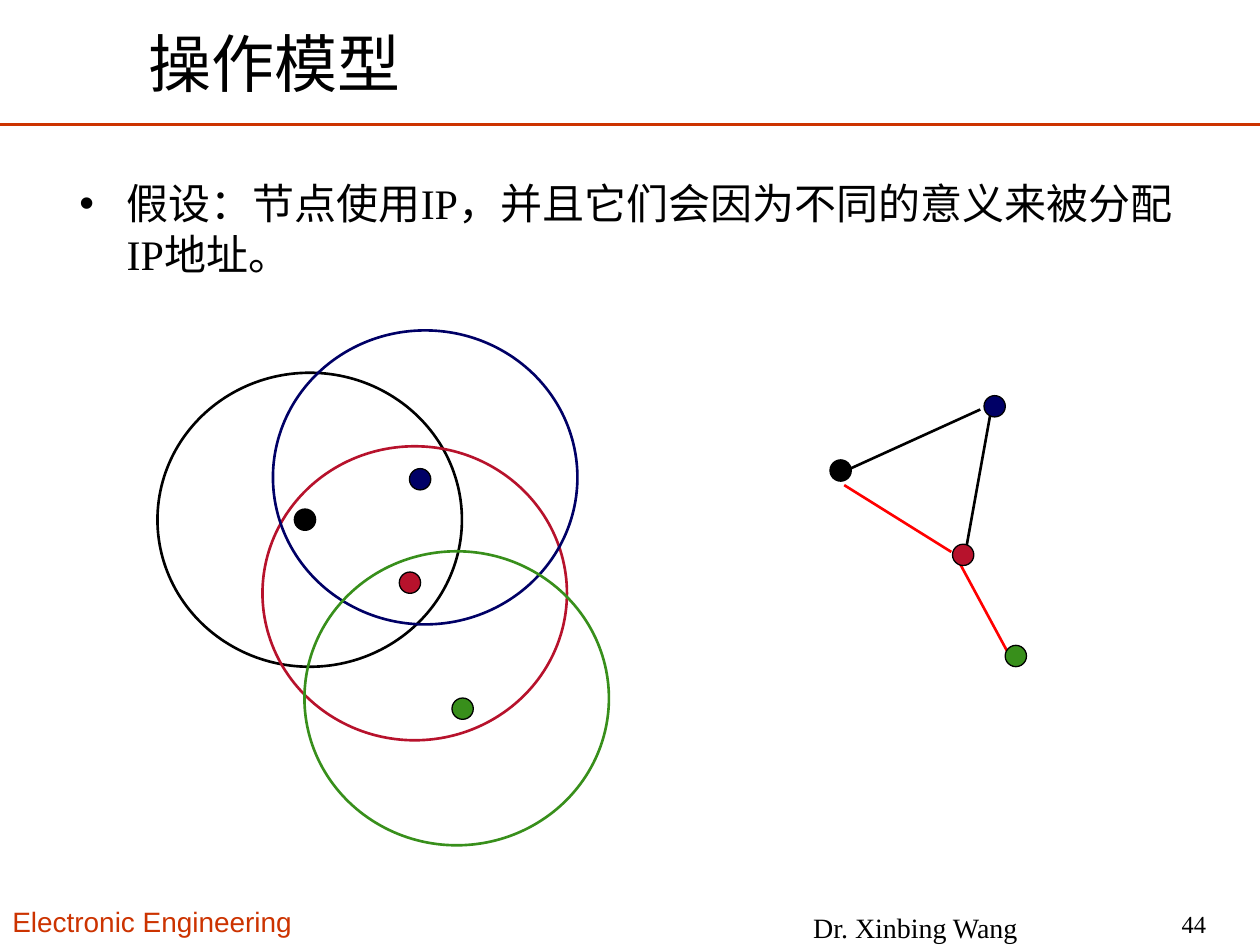
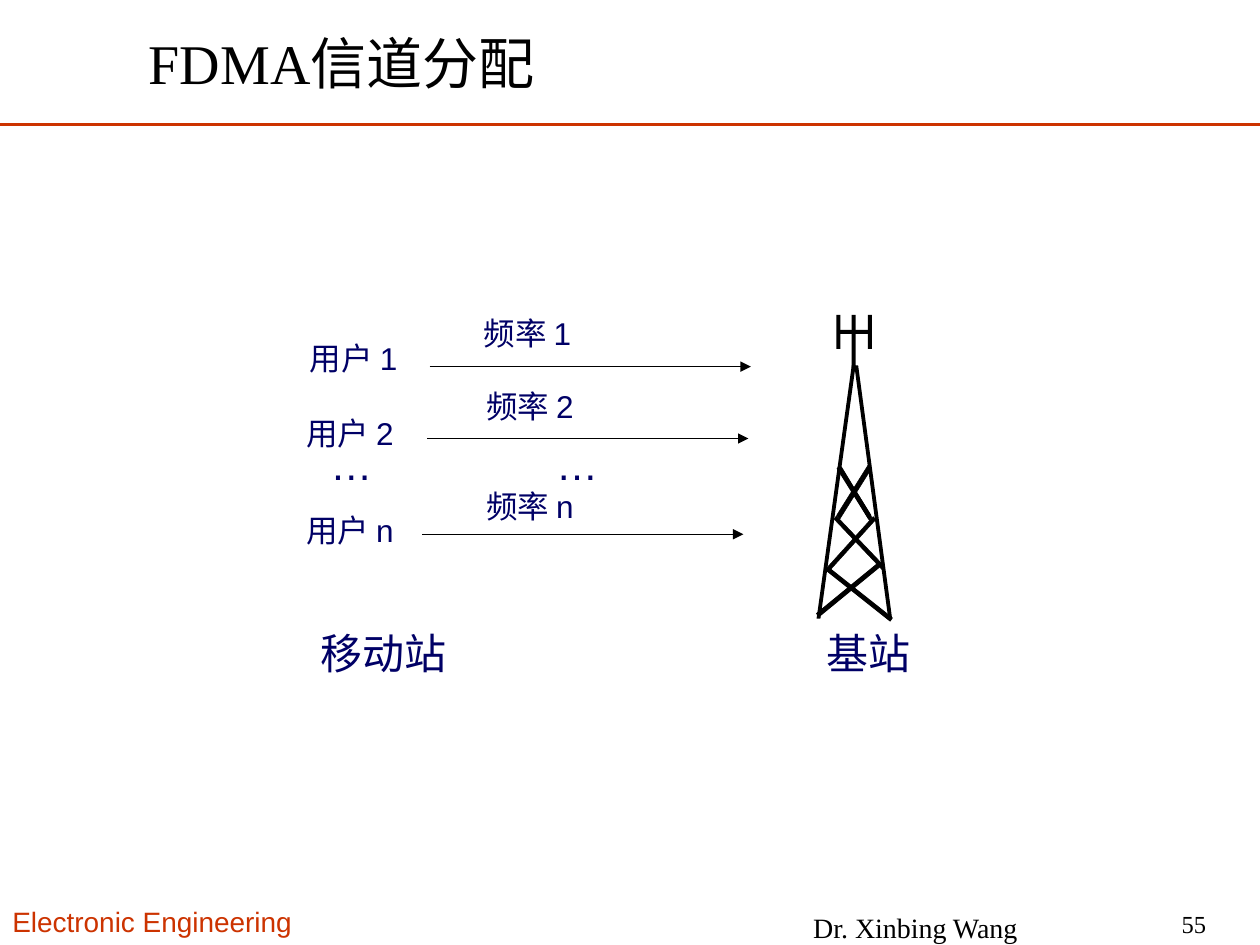
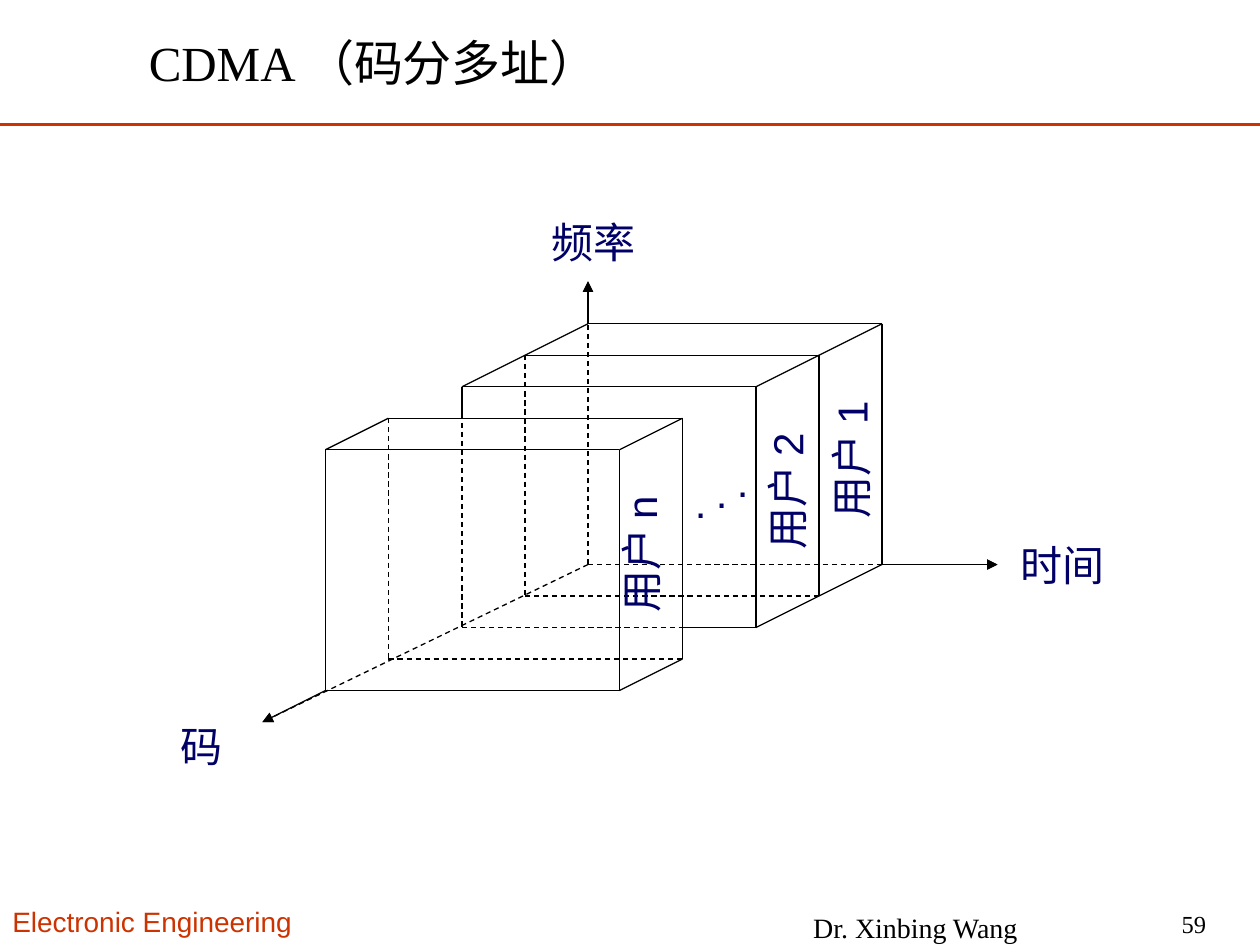
"""Build three lecture slides on wireless networks and multiple access."""
from lxml import etree
from pptx import Presentation
from pptx.dml.color import RGBColor
from pptx.enum.dml import MSO_LINE
from pptx.enum.shapes import MSO_CONNECTOR, MSO_SHAPE
from pptx.enum.text import MSO_ANCHOR, MSO_AUTO_SIZE, PP_ALIGN
from pptx.oxml.ns import qn
from pptx.util import Pt

BLACK = RGBColor(0x00, 0x00, 0x00)
WHITE = RGBColor(0xFF, 0xFF, 0xFF)
ORANGE = RGBColor(0xCC, 0x33, 0x00)
NAVY = RGBColor(0x00, 0x00, 0x66)
CRIMSON = RGBColor(0xB7, 0x12, 0x2C)
GREEN = RGBColor(0x38, 0x8F, 0x1B)
RED = RGBColor(0xFF, 0x00, 0x00)

SANS, SERIF = "Arial", "Times New Roman"
LEFT, CENTER, RIGHT = PP_ALIGN.LEFT, PP_ALIGN.CENTER, PP_ALIGN.RIGHT
TOP, MIDDLE = MSO_ANCHOR.TOP, MSO_ANCHOR.MIDDLE
OVAL, RECTANGLE = MSO_SHAPE.OVAL, MSO_SHAPE.RECTANGLE
STRAIGHT, DASH = MSO_CONNECTOR.STRAIGHT, MSO_LINE.DASH
NO_FIT = MSO_AUTO_SIZE.NONE

TITLE_AND_BODY, TITLE_ONLY = 1, 5
NODE_SIZE = 12.2
RANGE_WIDTH, RANGE_HEIGHT = 174, 168
FACE_WIDTH, FACE_HEIGHT = 168, 137.6
DEPTH_X, DEPTH_Y = -36, 18


def write(frame, text, *, size=24, font=SANS, color=NAVY, align=LEFT, anchor=TOP):
    """Put one formatted paragraph into a text frame and return it."""
    frame.word_wrap = True
    frame.auto_size = NO_FIT
    frame.vertical_anchor = anchor
    frame.text = text
    paragraph = frame.paragraphs[0]
    paragraph.alignment = align
    paragraph.space_before = Pt(0)
    style = paragraph.runs[0].font
    style.size, style.name = Pt(size), font
    style.color.rgb = color
    return paragraph


def place(shape, left, top, width, height):
    """Move and size a shape, in points."""
    shape.left, shape.top = Pt(left), Pt(top)
    shape.width, shape.height = Pt(width), Pt(height)


def label(slide, text, box, rotation=0, **style):
    """Add a text box with one formatted paragraph."""
    textbox = slide.shapes.add_textbox(*map(Pt, box))
    textbox.rotation = rotation
    write(textbox.text_frame, text, **style)


def line(slide, start, end, color=BLACK, width=0.75, dashed=False, arrow=False):
    """Draw a straight line, with an arrowhead at its end if wanted."""
    connector = slide.shapes.add_connector(STRAIGHT, *map(Pt, (*start, *end)))
    connector.line.color.rgb = color
    connector.line.width = Pt(width)
    if dashed:
        connector.line.dash_style = DASH
    properties = connector._element.spPr
    if arrow:
        etree.SubElement(properties.find(qn("a:ln")), qn("a:tailEnd"), type="triangle")
    etree.SubElement(properties, qn("a:effectLst"))


def paint(shape, fill=None, outline=None, width=0.75):
    """Set fill and outline of a shape, none where no colour is given."""
    shape.shadow.inherit = False
    if fill is None:
        shape.fill.background()
    else:
        shape.fill.solid()
        shape.fill.fore_color.rgb = fill
    if outline is None:
        shape.line.fill.background()
    else:
        shape.line.color.rgb = outline
        shape.line.width = Pt(width)


def node(slide, left, top, color):
    """Draw a network node."""
    box = map(Pt, (left, top, NODE_SIZE, NODE_SIZE))
    paint(slide.shapes.add_shape(OVAL, *box), color, BLACK)


def radio_range(slide, left, top, color, fill=None):
    """Draw the radio range of a node."""
    box = map(Pt, (left, top, RANGE_WIDTH, RANGE_HEIGHT))
    paint(slide.shapes.add_shape(OVAL, *box), fill, color, 1.5)


def strut(tower, start, end, thickness, outline_width):
    """Draw a slanted bar of the tower as a parallelogram."""
    (x1, y1), (x2, y2), (dx, dy) = start, end, thickness
    builder = tower.shapes.build_freeform(Pt(x1), Pt(y1))
    corners = [(x1 + dx, y1 + dy), (x2 + dx, y2 + dy), (x2, y2)]
    builder.add_line_segments([(Pt(x), Pt(y)) for x, y in corners])
    outline = BLACK if outline_width else None
    paint(builder.convert_to_shape(), BLACK, outline, outline_width)


def base_station(slide):
    """Draw the antenna tower."""
    tower = slide.shapes.add_group_shape()
    for start, end, thickness, outline_width in [
        ((486.7, 208.8), (466.6, 353.5), (2.2, 0), 0),
        ((488.2, 208.8), (507.6, 353.5), (2.2, 0), 0),
        ((466.6, 350.6), (502.6, 321.1), (1.4, 1.8), 0.5),
        ((504, 325.4), (476.6, 296.6), (1.4, -1.8), 0.25),
        ((478.1, 294.5), (496.1, 265.7), (1.8, 2.2), 0.25),
        ((508.7, 354.9), (472.3, 326.1), (1.2, -1.8), 0.5),
        ((472.3, 324.7), (499, 295.2), (1.4, 1.8), 0.25),
        ((496.1, 296.6), (478.1, 267.8), (1.8, -2.2), 0),
        ((496.8, 297.4), (479.5, 268.6), (1.4, -1.8), 0.25),
    ]:
        strut(tower, start, end, thickness, outline_width)
    for bar in [
        (478, 180, 2.2, 19.4),
        (496, 180, 2.2, 19.4),
        (478.8, 188.6, 18, 2.2),
        (486.7, 180, 2.2, 30),
    ]:
        paint(tower.shapes.add_shape(RECTANGLE, *map(Pt, bar)), BLACK)


def slab(slide, left, top):
    """Draw the visible edges of a user's slab from its back left top corner."""
    right, bottom = left + FACE_WIDTH, top + FACE_HEIGHT
    line(slide, (left, top), (right, top))
    line(slide, (right, top), (right, bottom))
    for x, y in [(left, top), (right, top), (right, bottom)]:
        line(slide, (x, y), (x + DEPTH_X, y + DEPTH_Y))


def hidden_edges(slide, left, top):
    """Draw the dashed left and bottom edges of a face."""
    bottom = top + FACE_HEIGHT
    line(slide, (left, top), (left, bottom), dashed=True)
    line(slide, (left, bottom), (left + FACE_WIDTH, bottom), dashed=True)


def new_slide(deck, layout, title, size, number, title_width=477.4):
    """Add a slide with title, rule and footers."""
    slide = deck.slides.add_slide(deck.slide_layouts[layout])
    place(slide.shapes.title, 77.8, 10.8, title_width, 49.7)
    write(slide.shapes.title.text_frame, title, size=size, font=SERIF,
          color=BLACK, anchor=MIDDLE)
    line(slide, (0, 71.3), (720, 71.3), ORANGE, 1.5)
    label(slide, "Electronic Engineering", (0, 513.4, 183.6, 26.6), size=16, color=ORANGE)
    footer = {"font": SERIF, "color": BLACK, "anchor": MIDDLE}
    label(slide, "Dr. Xinbing Wang", (435.6, 520.6, 175, 18), size=16, align=CENTER, **footer)
    label(slide, number, (636.5, 519.1, 59.8, 18), size=14, align=RIGHT, **footer)
    return slide


def operation_model(deck):
    """Build the slide with radio ranges and the resulting graph."""
    slide = new_slide(deck, TITLE_AND_BODY, "操作模型", 36, "44")
    assumption = slide.placeholders[1]
    place(assumption, 38.2, 97.9, 640.8, 92.2)
    paragraph = write(assumption.text_frame,
                      "假设：节点使用IP，并且它们会因为不同的意义来被分配IP地址。",
                      font=SERIF, color=BLACK)
    indent = Pt(27)
    properties = paragraph._p.get_or_add_pPr()
    properties.set("marL", str(indent))
    properties.set("indent", str(-indent))

    radio_range(slide, 90, 213, BLACK, WHITE)
    radio_range(slide, 150, 255, CRIMSON)
    radio_range(slide, 156, 188.8, NAVY)
    radio_range(slide, 174, 315, GREEN)
    for start, end, color in [
        ((551.5, 316.8), (566, 236.2), BLACK),
        ((482.4, 277.2), (543.6, 315.4), RED),
        ((548, 321.1), (576, 373), RED),
        ((479.5, 270.7), (560.2, 234), BLACK),
    ]:
        line(slide, start, end, color, 1.5)
    for left, top, color in [
        (168.2, 290.9, BLACK), (474.3, 262.8, BLACK),
        (228.2, 326.9, CRIMSON), (544.3, 311, CRIMSON),
        (234, 267.8, NAVY), (562.3, 226.1, NAVY),
        (258.3, 398.9, GREEN), (574.4, 368.8, GREEN),
    ]:
        node(slide, left, top, color)


def fdma(deck):
    """Build the slide on frequency channels."""
    slide = new_slide(deck, TITLE_ONLY, "FDMA信道分配", 32, "55")
    for name, user_left, user_top, band_left, band_top, start, level in [
        ("1", 170, 190.1, 269.3, 175.7, 245.5, 209.5),
        ("2", 167.8, 233.3, 270.7, 217.4, 244.1, 250.6),
        ("n", 167.8, 288.7, 270.7, 275, 241.2, 305.3),
    ]:
        line(slide, (start, level), (start + 183.6, level), arrow=True)
        label(slide, f"频率 {name}", (band_left, band_top, 140, 29.5), size=18)
        label(slide, f"用户 {name}", (user_left, user_top, 73.4, 30.2), size=18)
    base_station(slide)
    for text, box in [
        ("基站", (413.3, 355, 166.3, 36)),
        ("…", (166.3, 247, 69.1, 36)),
        ("…", (295.2, 247, 69.1, 36)),
        ("移动站", (131.8, 355, 174.2, 36)),
    ]:
        label(slide, text, box, align=CENTER)


def cdma(deck):
    """Build the slide with users as slabs along the code axis."""
    slide = new_slide(deck, TITLE_ONLY, "CDMA （码分多址）", 28, "59", 524.9)
    origin = (336, 322.6)
    for edge, tip in [
        ((504, 322.6), (570, 322.6)),
        ((336, 185), (336, 160.8)),
        ((186, 394.6), (150, 412.6)),
    ]:
        line(slide, origin, tip, dashed=True, arrow=True)
        line(slide, edge, tip, arrow=True)
    for corner in [(336, 185), (300, 203), (222, 239)]:
        slab(slide, *corner)
    for corner in [(300, 203), (264, 221), (222, 239)]:
        hidden_edges(slide, *corner)
    for start, end in [
        ((264, 221), (432, 221)),
        ((432, 221), (432, 358.6)),
        ((390, 358.6), (432, 358.6)),
        ((264, 221), (264, 239)),
        ((186, 257), (354, 257)),
        ((354, 257), (354, 394.6)),
        ((186, 394.6), (354, 394.6)),
        ((186, 257), (186, 394.6)),
    ]:
        line(slide, start, end)
    for name, left, top in [("1", 426.2, 244.8), ("2", 389.5, 262.8), ("n", 306, 298.8)]:
        label(slide, f"用户 {name}", (left, top, 120, 36), rotation=270, align=CENTER)
    label(slide, "时间", (576, 304.6, 90, 36))
    label(slide, "频率", (264.2, 120.2, 150, 36), align=CENTER)
    label(slide, "码", (95.8, 408.2, 90, 36))
    for step in range(3):
        label(slide, ".", (414 - 12 * step, 257 + 5.8 * step, 20, 36))


def main():
    """Build and save the deck."""
    deck = Presentation()
    deck.slide_width, deck.slide_height = Pt(720), Pt(540)
    operation_model(deck)
    fdma(deck)
    cdma(deck)
    deck.save("out.pptx")


if __name__ == "__main__":
    main()
